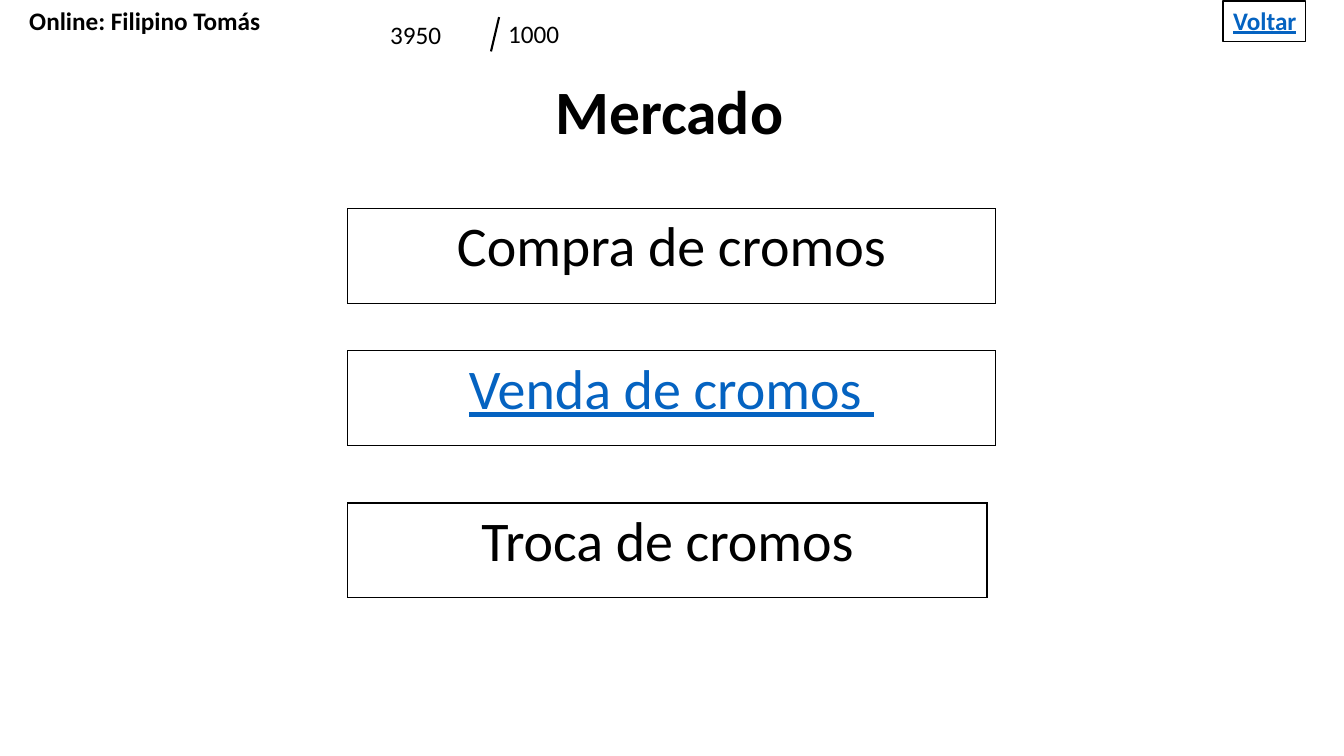
from lxml.etree import SubElement
from pptx import Presentation
from pptx.dml.color import RGBColor as Rgb
from pptx.enum.shapes import MSO_CONNECTOR as Connector, MSO_SHAPE as Shape
from pptx.enum.text import MSO_AUTO_SIZE as AutoSize, PP_ALIGN as Align
from pptx.oxml.ns import qn
from pptx.util import Inches, Pt

COLORS = {"ink": "000000", "paper": "FFFFFF", "link": "0563C1"}
PLAIN_TABLE = "{2D5ABB26-0587-4C30-8999-92F81FD0307C}"


class MarketSlide:
    font = "Calibri"

    def __init__(self, deck):
        self.shapes = deck.slides.add_slide(deck.slide_layouts[6]).shapes

    def color(self, name):
        return Rgb.from_string(COLORS[name])

    def add_words(self, frame, words, size, bold=False, link=False, align=Align.LEFT):
        para = frame.paragraphs[0]
        para.alignment = align
        span = para.add_run()
        span.text = words
        span.font.name = self.font
        span.font.size = Pt(size)
        span.font.bold = bold
        span.font.underline = link
        span.font.color.rgb = self.color("link" if link else "ink")

    def text(self, left, top, width, height, words, size, bold=False):
        box = self.shapes.add_textbox(Inches(left), Inches(top), Inches(width), Inches(height))
        box.text_frame.word_wrap = True
        box.text_frame.auto_size = AutoSize.SHAPE_TO_FIT_TEXT
        self.add_words(box.text_frame, words, size, bold)

    def cell(self, left, top, width, height, words, size, borders=None,
             border_color="ink", fill=None, indent=0.1, **style):
        frame = self.shapes.add_table(1, 1, Inches(left), Inches(top), Inches(width), Inches(height))
        table = frame.table
        table.first_row = table.horz_banding = False
        table._tbl.tblPr.find(qn("a:tableStyleId")).text = PLAIN_TABLE
        cell = table.cell(0, 0)
        cell.margin_left = Inches(indent)
        self.add_words(cell.text_frame, words, size, **style)
        properties = cell._tc.get_or_add_tcPr()
        for side, points in (borders or {}).items():
            line = SubElement(properties, qn(f"a:ln{side}"), w=str(Pt(points)))
            solid = SubElement(line, qn("a:solidFill"))
            SubElement(solid, qn("a:srgbClr"), val=COLORS[border_color])
        if fill:
            cell.fill.solid()
            cell.fill.fore_color.rgb = self.color(fill)
        else:
            cell.fill.background()

    def line(self, start, end, points):
        line = self.shapes.add_connector(Connector.STRAIGHT, *map(Inches, start + end))
        line.line.color.rgb = self.color("ink")
        line.line.width = Pt(points)
        SubElement(line._element.spPr, qn("a:effectLst"))

    def outline(self, left, top, width, height, points):
        box = self.shapes.add_shape(Shape.RECTANGLE, Inches(left), Inches(top),
                                    Inches(width), Inches(height))
        box.shadow.inherit = False
        box.fill.background()
        box.line.color.rgb = self.color("ink")
        box.line.width = Pt(points)


def main():
    deck = Presentation()
    deck.slide_width, deck.slide_height = Inches(13.33), Inches(7.5)
    page = MarketSlide(deck)

    page.text(5.41, 0.67, 2.5, 0.84, "Mercado", 44, bold=True)
    page.cell(0.13, 0.01, 2.6, 0.41, "Online: Filipino Tomás", 18, bold=True, indent=0.16,
              borders={"L": 1, "R": 1, "T": 1, "B": 3}, border_color="paper", fill="paper")
    page.text(3.77, 0.14, 1.0, 0.4, "3950", 18)
    page.text(4.94, 0.13, 1.72, 0.4, "1000", 18)
    page.line((4.87, 0.51), (4.95, 0.17), 1.5)
    page.cell(12.13, 0.01, 0.97, 0.41, "Voltar", 18, bold=True, link=True)

    options = [
        (2.07, 6.42, "Compra de cromos", False),
        (3.48, 6.42, "Venda de cromos ", True),
        (4.99, 6.34, "Troca de cromos", False),
    ]
    for top, width, words, link in options:
        page.cell(3.45, top, width, 0.94, words, 40, link=link, align=Align.CENTER,
                  borders=dict.fromkeys("LRTB", 1))

    page.outline(12.13, 0.01, 0.82, 0.4, 1)
    deck.save("out.pptx")


if __name__ == "__main__":
    main()
